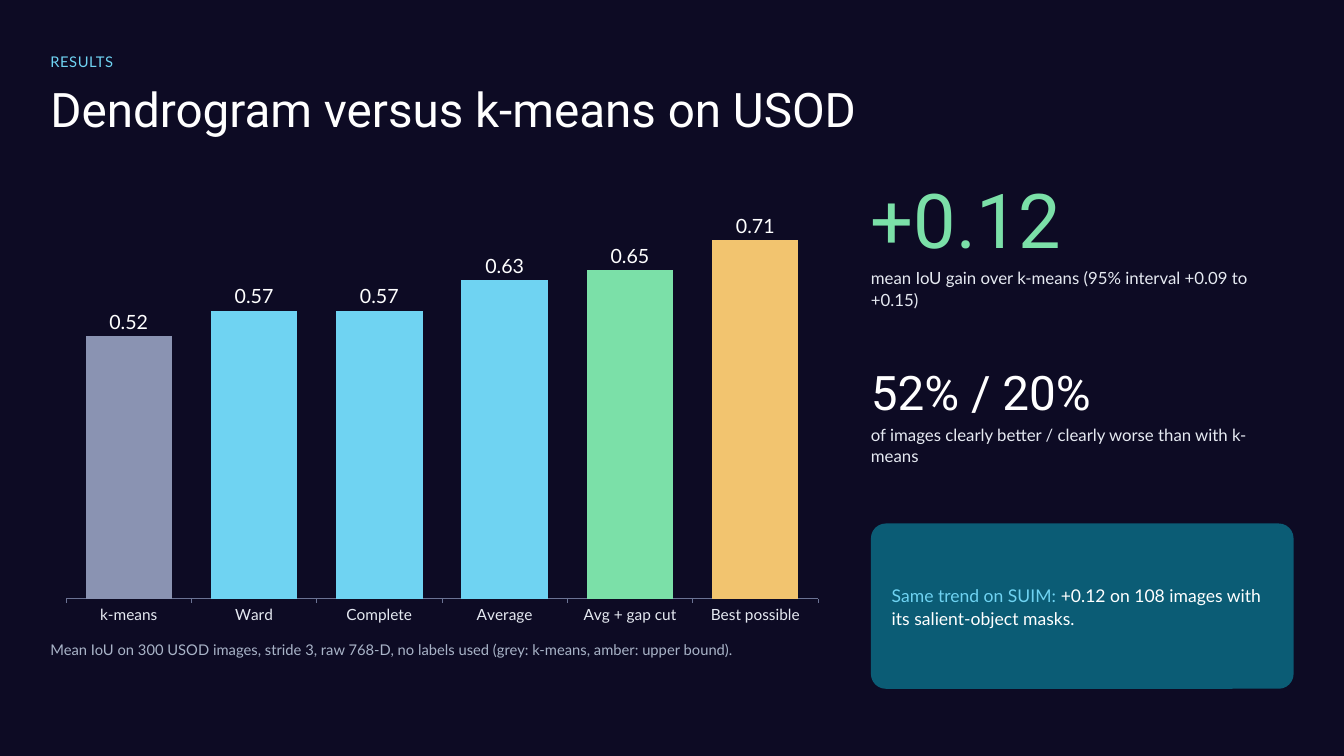
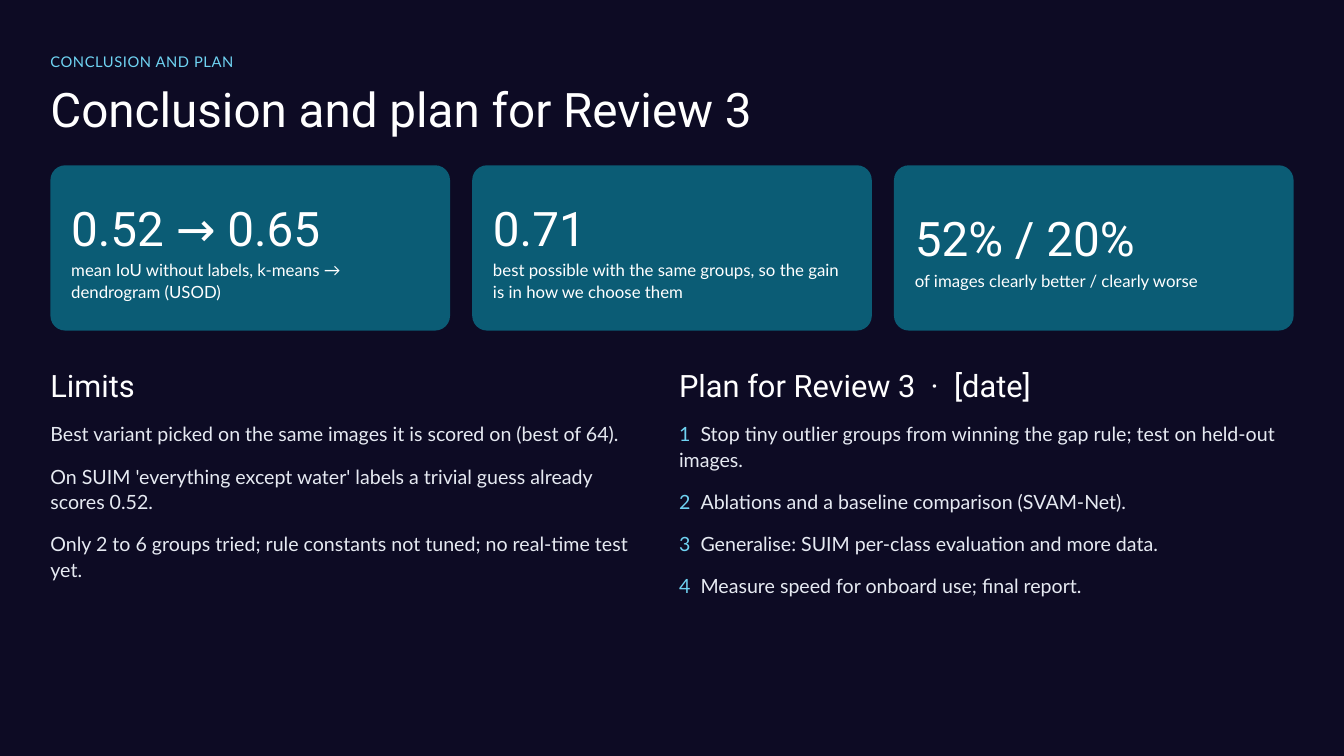
from dataclasses import dataclass
from typing import NamedTuple

from lxml import etree
from pptx import Presentation
from pptx import util as u
from pptx.chart.data import CategoryChartData
from pptx.dml.color import RGBColor
from pptx.enum import chart as ch
from pptx.enum import shapes, text
from pptx.oxml.ns import qn


# Theme: colours, fonts and type sizes
@dataclass(frozen=True)
class Theme:
    night: str = "0D0B24"
    card: str = "0B5C75"
    white: str = "FFFFFF"
    body: str = "E6EAF2"
    muted: str = "A9B4C8"
    axis: str = "6B7394"
    sky: str = "6FD3F2"
    grey: str = "8A93B2"
    green: str = "7BE0A8"
    amber: str = "F2C46F"
    head_font: str = "Roboto"
    body_font: str = "Lato"
    hero: float = 81
    title: float = 51
    heading: float = 33
    text: float = 21
    callout: float = 18.8
    caption: float = 18
    tick: float = 16.5
    small: float = 15.8


T = Theme()

# Grid: content width in shares, height in rows
WIDTH, HEIGHT = 20, 11.25
MARGIN, GAP, ROW = 0.75, 0.33, 0.41
CONTENT = WIDTH - 2 * MARGIN
PAD = 0.31
CARD_ROWS = 6
LINE, TITLE_LINE = 1.08, 0.93


class Box(NamedTuple):
    left: float
    top: float
    width: float
    height: float

    def emu(self) -> list[u.Emu]:
        return [u.Inches(v) for v in self]

    def padded(self) -> "Box":
        return Box(self.left + PAD, self.top, self.width - 2 * PAD, self.height)


class Run(NamedTuple):
    text: str
    size: float
    color: str
    font: str = T.body_font
    spacing: float = 0


class Para(NamedTuple):
    runs: list[Run]
    after: float = 0
    line: float = LINE
    tab: float = 0


class Stat(NamedTuple):
    value: str
    caption: str
    size: float = T.title
    color: str = T.white
    caption_color: str = T.body

    def paras(self) -> list[Para]:
        return [Para([Run(self.value, self.size, self.color, T.head_font)], 3),
                Para([Run(self.caption, T.caption, self.caption_color)], 3)]


class Bar(NamedTuple):
    name: str
    iou: float
    color: str = T.sky


def area(start: float, share: float, row: float, rows: float) -> Box:
    """Box from shares of the content width and grid rows."""
    return Box(MARGIN + start * CONTENT, row * ROW, share * CONTENT, rows * ROW)


def rgb(color: str) -> RGBColor:
    return RGBColor.from_string(color)


def style(font, size: float, color: str, name: str = T.body_font) -> None:
    font.size, font.name = u.Pt(size), name
    font.color.rgb = rgb(color)


# Drawing helpers
def add_text(s, box: Box, paras: list[Para], middle: bool = False) -> None:
    tf = s.shapes.add_textbox(*box.emu()).text_frame
    tf.word_wrap = True
    tf.margin_left = tf.margin_top = tf.margin_right = tf.margin_bottom = 0
    tf.vertical_anchor = text.MSO_ANCHOR.MIDDLE if middle else text.MSO_ANCHOR.TOP
    for i, para in enumerate(paras):
        p = tf.paragraphs[0] if i == 0 else tf.add_paragraph()
        p.line_spacing, p.space_after = para.line, u.Pt(para.after)
        if para.tab:
            tabs = etree.SubElement(p._p.get_or_add_pPr(), qn("a:tabLst"))
            etree.SubElement(tabs, qn("a:tab"), pos=str(u.Inches(para.tab)), algn="l")
        for run in para.runs:
            r = p.add_run()
            r.text = run.text
            style(r.font, run.size, run.color, run.font)
            if run.spacing:
                r._r.get_or_add_rPr().set("spc", str(round(run.spacing * 100)))


def add_card(s, box: Box, paras: list[Para]) -> None:
    sp = s.shapes.add_shape(shapes.MSO_SHAPE.ROUNDED_RECTANGLE, *box.emu())
    sp.adjustments[0] = 0.09
    sp.shadow.inherit = False
    sp.fill.solid()
    sp.fill.fore_color.rgb = rgb(T.card)
    sp.line.fill.background()
    add_text(s, box.padded(), paras, middle=True)


def add_bars(s, box: Box, bars: list[Bar]) -> None:
    data = CategoryChartData(number_format="0.00")
    data.categories = [b.name for b in bars]
    data.add_series("Series 1", [b.iou for b in bars])
    chart = s.shapes.add_chart(ch.XL_CHART_TYPE.COLUMN_CLUSTERED, *box.emu(), data).chart
    chart.has_legend = chart.has_title = False
    style(chart.font, T.tick, T.body)

    # Axes
    values, cats = chart.value_axis, chart.category_axis
    values.minimum_scale, values.maximum_scale = 0, 0.85
    values.has_major_gridlines = values.visible = False
    cats.has_major_gridlines = False
    cats.major_tick_mark = ch.XL_TICK_MARK.OUTSIDE
    cats.format.line.color.rgb = rgb(T.axis)
    cats.format.line.width = u.Pt(0.75)
    style(cats.tick_labels.font, T.tick, T.body)

    # Bars and their labels
    plot = chart.plots[0]
    plot.gap_width, plot.vary_by_categories = 45, False
    series = plot.series[0]
    series.format.fill.solid()
    series.format.fill.fore_color.rgb = rgb(T.sky)
    for i, bar in enumerate(bars):
        fill = series.points[i].format.fill
        fill.solid()
        fill.fore_color.rgb = rgb(bar.color)
    labels = series.data_labels
    labels.show_value = True
    labels.position = ch.XL_LABEL_POSITION.OUTSIDE_END
    labels.number_format, labels.number_format_is_linked = "0.00", False
    style(labels.font, T.text, T.white)


def add_slide(prs, section: str, title: str):
    """Blank slide with the shared background, section label and title."""
    s = prs.slides.add_slide(prs.slide_layouts[6])
    s.background.fill.solid()
    s.background.fill.fore_color.rgb = rgb(T.night)
    add_text(s, area(0, 1, 1.88, 0.68),
             [Para([Run(section, T.small, T.sky, spacing=0.6)])])
    add_text(s, area(0, 1, 3.1, 2.25),
             [Para([Run(title, T.title, T.white, T.head_font)], line=TITLE_LINE)])
    return s


def heading(label: str) -> Para:
    return Para([Run(label, T.heading, T.white, T.head_font)], 18)


# Slides
def results_slide(prs) -> None:
    s = add_slide(prs, "RESULTS", "Dendrogram versus k-means on USOD")
    add_bars(s, area(0, 0.63, 5.8, 17.2), [
        Bar("k-means", 0.52, T.grey), Bar("Ward", 0.57), Bar("Complete", 0.57),
        Bar("Average", 0.63), Bar("Avg + gap cut", 0.65, T.green),
        Bar("Best possible", 0.71, T.amber)])
    note = ("Mean IoU on 300 USOD images, stride 3, raw 768-D, no labels used "
            "(grey: k-means, amber: upper bound).")
    add_text(s, area(0, 0.63, 23.2, 2), [Para([Run(note, T.small, T.muted)])])

    # Side column
    gain = Stat("+0.12", "mean IoU gain over k-means (95% interval +0.09 to +0.15)",
                T.hero, T.green)
    split = Stat("52% / 20%", "of images clearly better / clearly worse than with k-means")
    add_text(s, area(0.66, 0.34, 6, CARD_ROWS), gain.paras())
    add_text(s, area(0.66, 0.34, 13, 5.2), split.paras())
    add_card(s, area(0.66, 0.34, 19, CARD_ROWS), [Para([
        Run("Same trend on SUIM: ", T.callout, T.sky),
        Run("+0.12 on 108 images with its salient-object masks.", T.callout, T.white)])])


def conclusion_slide(prs) -> None:
    s = add_slide(prs, "CONCLUSION AND PLAN", "Conclusion and plan for Review 3")

    # Cards
    stats = [
        Stat("0.52 → 0.65", "mean IoU without labels, k-means → dendrogram (USOD)",
             caption_color=T.white),
        Stat("0.71", "best possible with the same groups, so the gain is in how we choose them",
             caption_color=T.white),
        Stat("52% / 20%", "of images clearly better / clearly worse",
             caption_color=T.white)]
    width = (CONTENT - GAP * (len(stats) - 1)) / len(stats)
    for i, stat in enumerate(stats):
        box = Box(MARGIN + i * (width + GAP), 6 * ROW, width, CARD_ROWS * ROW)
        add_card(s, box, stat.paras())

    # Limits and plan
    limits = [
        "Best variant picked on the same images it is scored on (best of 64).",
        "On SUIM 'everything except water' labels a trivial guess already scores 0.52.",
        "Only 2 to 6 groups tried; rule constants not tuned; no real-time test yet."]
    steps = [
        "Stop tiny outlier groups from winning the gap rule; test on held-out images.",
        "Ablations and a baseline comparison (SVAM-Net).",
        "Generalise: SUIM per-class evaluation and more data.",
        "Measure speed for onboard use; final report."]
    left = area(0, 0.47, 13.2, 12.8)
    start = left.left + left.width + 2 * GAP
    right = left._replace(left=start, width=WIDTH - MARGIN - start)
    add_text(s, left, [heading("Limits")]
             + [Para([Run(limit, T.text, T.body)], 18) for limit in limits])
    add_text(s, right, [heading("Plan for Review 3  ·  [date]")]
             + [Para([Run(f"{n}\t", T.text, T.sky), Run(step, T.text, T.body)], 18, tab=0.32)
                for n, step in enumerate(steps, 1)])


def main() -> None:
    prs = Presentation()
    prs.slide_width, prs.slide_height = u.Inches(WIDTH), u.Inches(HEIGHT)
    results_slide(prs)
    conclusion_slide(prs)
    prs.save("out.pptx")


if __name__ == "__main__":
    main()
